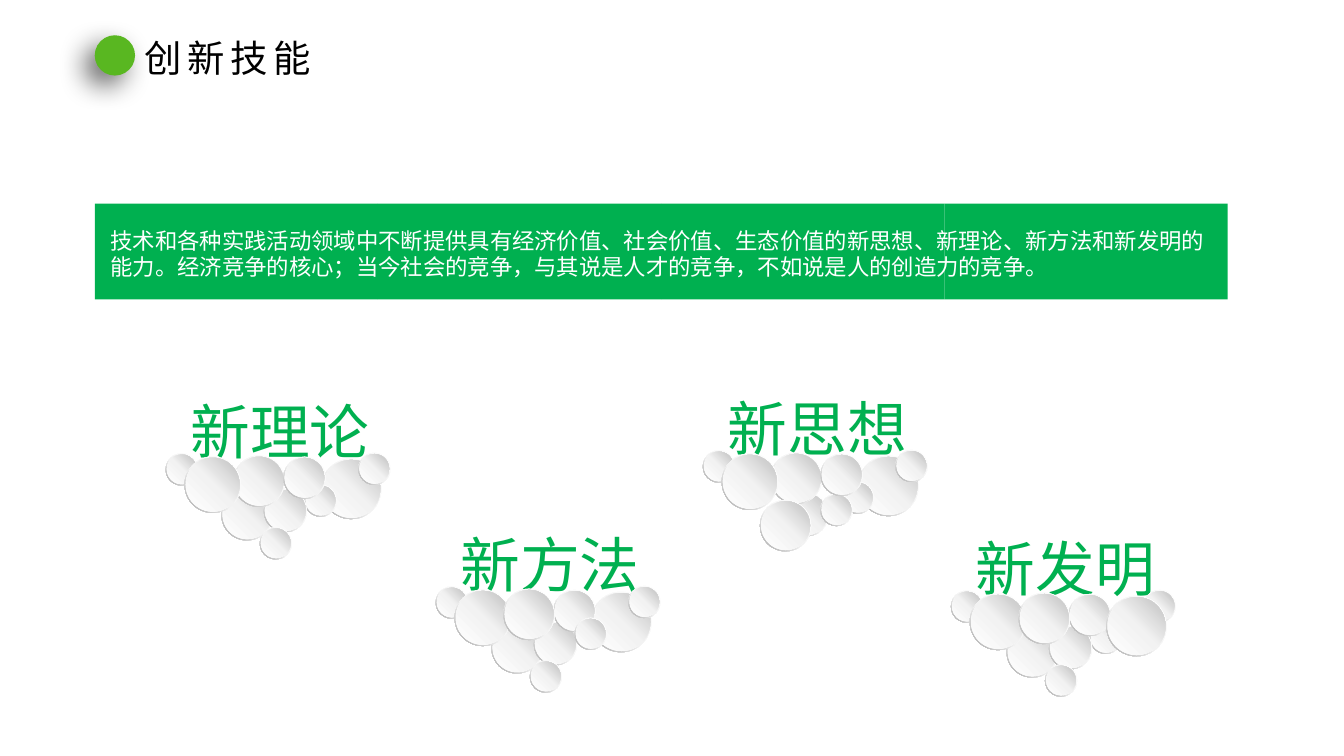
from lxml import etree
from pptx import Presentation
from pptx import util as u
from pptx.dml.color import RGBColor
from pptx.enum import shapes, text
from pptx.oxml import ns

THEME = {
    "dot": "59B721", "green": "00B050", "white": "FFFFFF", "black": "000000",
    "rim": ((0, "FFFFFF"), (55, "F2F2F2"), (100, "A6A6A6")),
    "core": ((0, "FFFFFF"), (51, "F2F2F2"), (100, "BFBFBF")),
    "font": "Noto Sans CJK SC",
    "title_size": 26.7, "summary_size": 16, "word_size": 42.7,
}

prs = Presentation()
prs.slide_width, prs.slide_height = u.Pt(960), u.Pt(540)
slide = prs.slides.add_slide(prs.slide_layouts[6])


def add_form(kind, left, top, width, height, color=None, stops=(), angle=0):
    form = slide.shapes.add_shape(kind, *map(u.Pt, (left, top, width, height)))
    form.shadow.inherit = False
    form.line.fill.background()
    if color:
        form.fill.solid()
        form.fill.fore_color.rgb = RGBColor.from_string(color)
        return form
    form.fill.gradient()
    gradient = form._element.spPr.find(ns.qn("a:gradFill"))
    stop_list = gradient.find(ns.qn("a:gsLst"))
    for old_stop in list(stop_list):
        stop_list.remove(old_stop)
    for position, shade in stops:
        stop = etree.SubElement(stop_list, ns.qn("a:gs"), pos=str(position * 1000))
        etree.SubElement(stop, ns.qn("a:srgbClr"), val=shade)
    gradient.find(ns.qn("a:lin")).set("ang", str(angle * 60000))
    return form


def add_words(lines, left, top, width, height, size, color, spacing=0):
    box = slide.shapes.add_textbox(*map(u.Pt, (left, top, width, height)))
    frame = box.text_frame
    frame.word_wrap = False
    frame.auto_size = text.MSO_AUTO_SIZE.SHAPE_TO_FIT_TEXT
    for index, line in enumerate(lines):
        paragraph = frame.add_paragraph() if index else frame.paragraphs[0]
        run = paragraph.add_run()
        run.text = line
        run.font.color.rgb = RGBColor.from_string(color)
        for name, value in {"size": u.Pt(size), "name": THEME["font"]}.items():
            setattr(run.font, name, value)
        properties = run.font._element
        etree.SubElement(properties, ns.qn("a:ea"), typeface=THEME["font"])
        if spacing:
            properties.set("spc", str(spacing * 100))


title_dot = add_form(shapes.MSO_SHAPE.OVAL, 67.7, 25.2, 28.8, 28.8, THEME["dot"])
effects = title_dot._element.spPr.find(ns.qn("a:effectLst"))
dot_shadow = etree.SubElement(
    effects, ns.qn("a:outerShdw"), blurRad=str(u.Pt(20)), dist=str(u.Pt(10)),
    dir=str(135 * 60000), algn="tr", rotWithShape="0")
shadow_color = etree.SubElement(dot_shadow, ns.qn("a:srgbClr"), val=THEME["black"])
etree.SubElement(shadow_color, ns.qn("a:alpha"), val="60000")
add_words(["创新技能"], 95.8, 21.6, 138.2, 39.6, THEME["title_size"], THEME["black"], 4)

BAND_WIDTH = 202.3
for column in range(4):
    add_form(shapes.MSO_SHAPE.RECTANGLE, 67.7 + column * BAND_WIDTH, 145.4,
             BAND_WIDTH, 68.4, THEME["green"])
add_words([
    "技术和各种实践活动领域中不断提供具有经济价值、社会价值、生态价值的新思想、新理论、新方法和新发明的",
    "能力。经济竞争的核心；当今社会的竞争，与其说是人才的竞争，不如说是人的创造力的竞争。",
], 72, 158.4, 806.4, 46.1, THEME["summary_size"], THEME["white"])

BUBBLES = {
    "big": (100.4, 49, 43.2),
    "left": (-10.6, 45.2, 23),
    "low": (29.2, 70.7, 36.7),
    "right": (127, 44.8, 23),
    "small": (88.6, 67.5, 23),
    "mid": (59.4, 70.6, 31),
    "bottom": (56.6, 98, 23),
    "centre": (37.8, 46.8, 36.7),
    "inner": (73.5, 47.6, 30.2),
    "front": (2.9, 47.5, 40.3),
}
THOUGHT_BUBBLES = {
    "low": (30.2, 80.6, 36.7),
    "mid": (48.2, 75.6, 31),
    "bottom": (73.4, 76.3, 23),
}
CLUSTERS = [
    ("新理论", 128.9, 278.6, {},
     "big left low right small mid bottom centre inner front"),
    ("新方法", 321.8, 373.7, {},
     "big left low right mid bottom inner front small centre"),
    ("新思想", 512.6, 276.5, THOUGHT_BUBBLES,
     "big left right small mid bottom centre inner front low"),
    ("新发明", 689.8, 376.6, {},
     "left low right small mid inner front big bottom centre"),
]
RIM = 0.9
for word, word_left, word_top, moved, stacking in CLUSTERS:
    add_words([word], word_left, word_top, 144, 59, THEME["word_size"], THEME["green"])
    places = {**BUBBLES, **moved}
    for bubble in stacking.split():
        across, down, size = places[bubble]
        left, top = word_left + across, word_top + down
        rim = add_form(shapes.MSO_SHAPE.DONUT, left, top, size, size,
                       stops=THEME["rim"], angle=135)
        rim.adjustments[0] = 0.05
        core_size = size - 2 * RIM
        add_form(shapes.MSO_SHAPE.OVAL, left + RIM, top + RIM, core_size, core_size,
                 stops=THEME["core"], angle=315)

prs.save("out.pptx")
